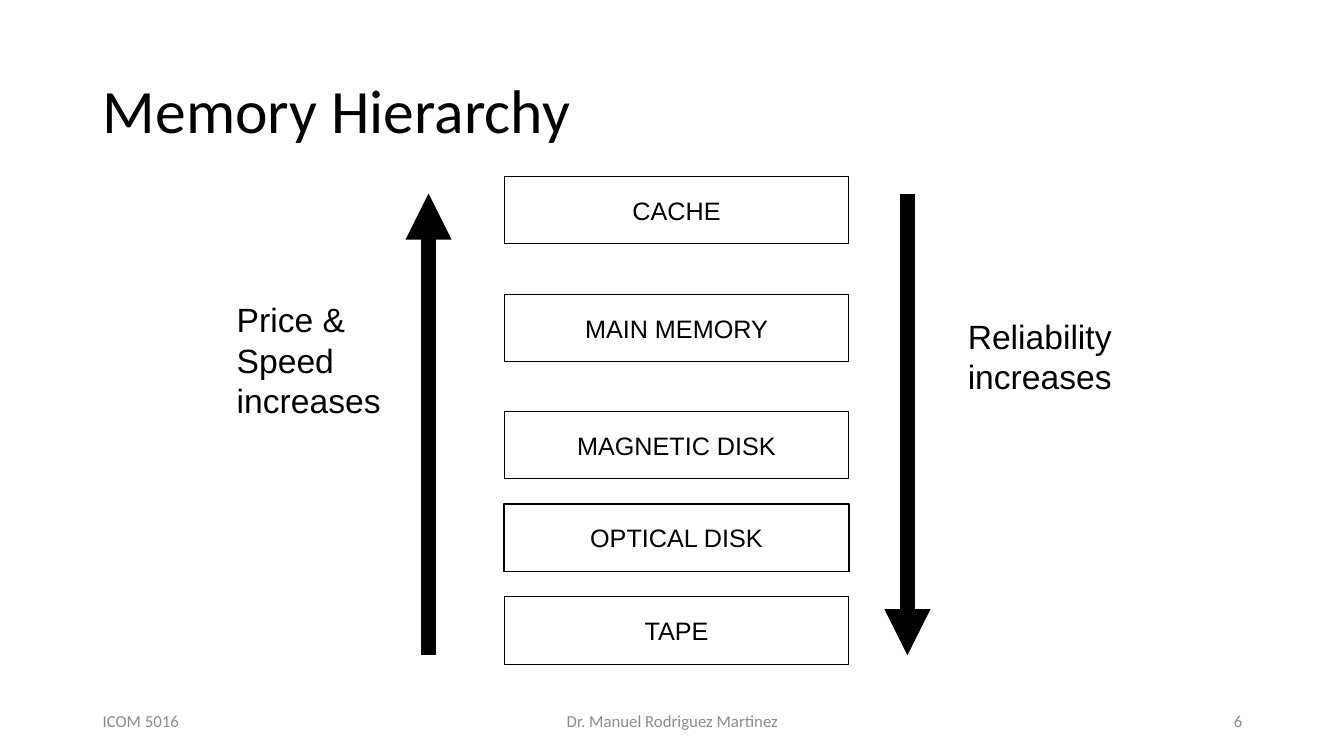
from pptx import Presentation
from pptx import util as u
from pptx.dml.color import RGBColor
from pptx.enum import shapes, text
from pptx.oxml.ns import qn
from lxml import etree

COLORS = {"ink": "000000", "paper": "FFFFFF", "footer": "8C8C8C"}
LEFT, MIDDLE, RIGHT = text.PP_ALIGN.LEFT, text.PP_ALIGN.CENTER, text.PP_ALIGN.RIGHT
MARGIN, CONTENT_WIDTH = 0.92, 11.5

deck = Presentation()
deck.slide_width, deck.slide_height = u.Inches(13.33), u.Inches(7.5)
page = deck.slides.add_slide(deck.slide_layouts[5])


def write(box, words, size=18, font="Arial", color="ink", align=LEFT,
          anchor=text.MSO_ANCHOR.MIDDLE, wrap=False, spacing=None,
          fit=text.MSO_AUTO_SIZE.NONE):
    """Fill a shape with one paragraph for each line of words."""
    frame = box.text_frame
    frame.text = words
    frame.auto_size = fit
    frame.word_wrap = wrap
    frame.vertical_anchor = anchor
    for para in frame.paragraphs:
        para.alignment = align
        para.line_spacing = spacing
        for span in para.runs:
            span.font.size = u.Pt(size)
            span.font.name = font
            span.font.color.rgb = RGBColor.from_string(COLORS[color])


# Title
title = page.shapes.title
title.left, title.top = u.Inches(MARGIN), u.Inches(0.4)
title.width, title.height = u.Inches(CONTENT_WIDTH), u.Inches(1.45)
write(title, "Memory Hierarchy", size=44, font="Calibri", wrap=True, spacing=0.9)

# Footer: left, middle and right of the content width
footers = [("ICOM 5016", 3, LEFT, 0),
           ("Dr. Manuel Rodriguez Martinez", 4.5, MIDDLE, 0.5),
           ("6", 3, RIGHT, 1)]
for words, width, align, share in footers:
    left = MARGIN + (CONTENT_WIDTH - width) * share
    box = page.shapes.add_textbox(u.Inches(left), u.Inches(6.95),
                                  u.Inches(width), u.Inches(0.4))
    write(box, words, size=12, font="Calibri", color="footer", align=align, wrap=True)

# Memory levels, fastest at the top
levels = [("CACHE", 1.75, 0.75), ("MAIN MEMORY", 2.92, 0.75),
          ("MAGNETIC DISK", 4.08, 0.75), ("OPTICAL DISK", 5, 1), ("TAPE", 5.92, 0.75)]
for name, top, outline in levels:
    level = page.shapes.add_shape(shapes.MSO_SHAPE.RECTANGLE, u.Inches(5),
                                  u.Inches(top), u.Inches(3.42), u.Inches(0.67))
    level.shadow.inherit = False
    level.fill.solid()
    level.fill.fore_color.rgb = RGBColor.from_string(COLORS["paper"])
    level.line.color.rgb = RGBColor.from_string(COLORS["ink"])
    level.line.width = u.Pt(outline)
    write(level, name, align=MIDDLE)

# Trend arrows, each pointing where its property grows
HIGH, LOW = 1.92, 6.5
for x, start, tip in [(4.25, LOW, HIGH), (9, HIGH, LOW)]:
    arrow = page.shapes.add_connector(shapes.MSO_CONNECTOR.STRAIGHT, u.Inches(x),
                                      u.Inches(start), u.Inches(x), u.Inches(tip))
    arrow.line.color.rgb = RGBColor.from_string(COLORS["ink"])
    arrow.line.width = u.Pt(11)
    etree.SubElement(arrow.line._get_or_add_ln(), qn("a:tailEnd"), type="triangle")
    etree.SubElement(arrow._element.spPr, qn("a:effectLst"))

# Trend labels
labels = [("Price &\nSpeed\nincreases", 2.25, 2.92, 1.64, 1.31),
          ("Reliability\nincreases", 9.5, 3.08, 1.65, 0.91)]
for words, *place in labels:
    label = page.shapes.add_textbox(*map(u.Inches, place))
    write(label, words, size=24, anchor=text.MSO_ANCHOR.TOP,
          fit=text.MSO_AUTO_SIZE.SHAPE_TO_FIT_TEXT)

deck.save("out.pptx")
